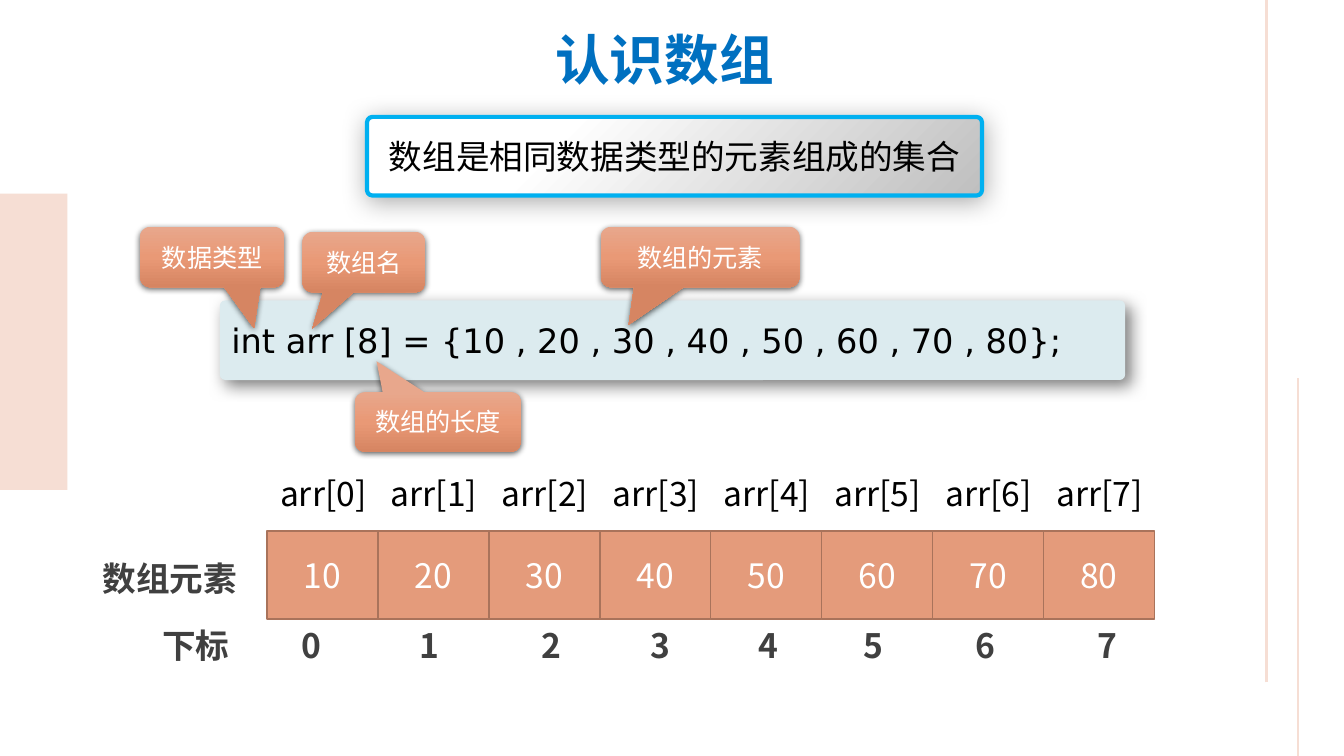
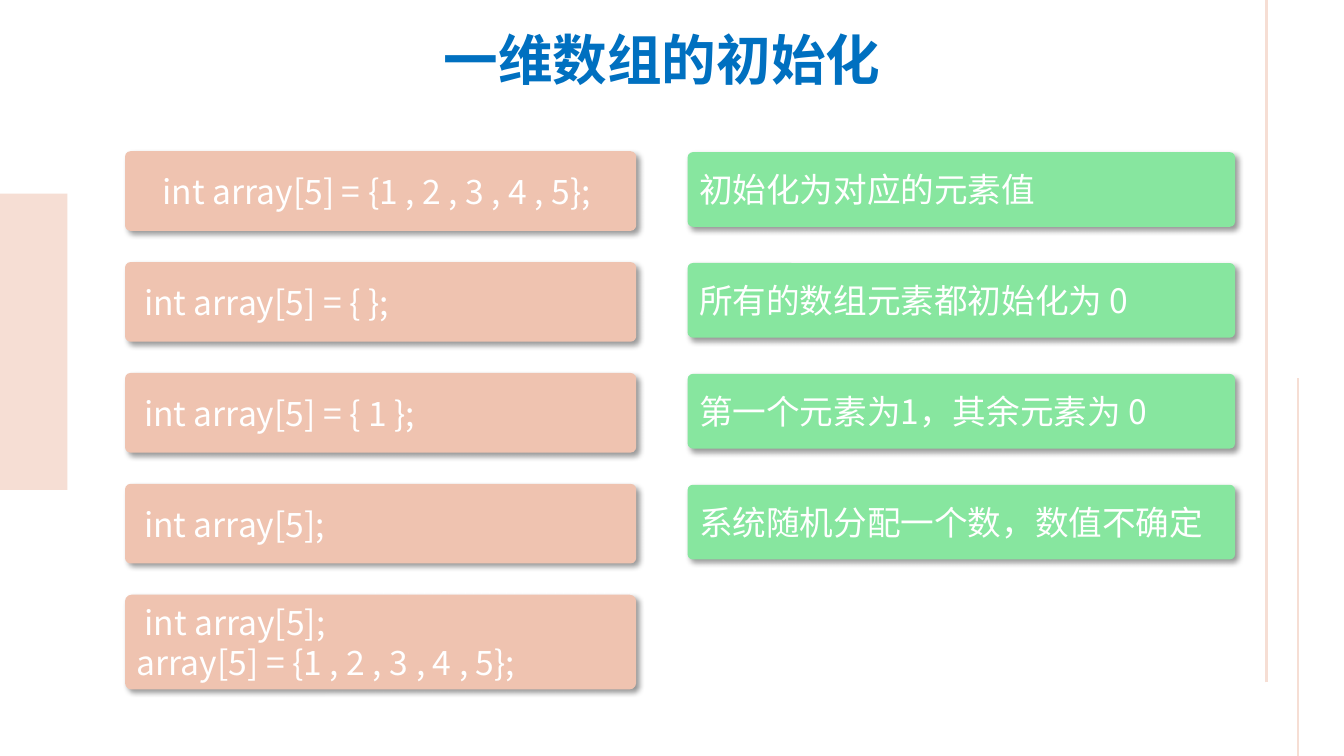
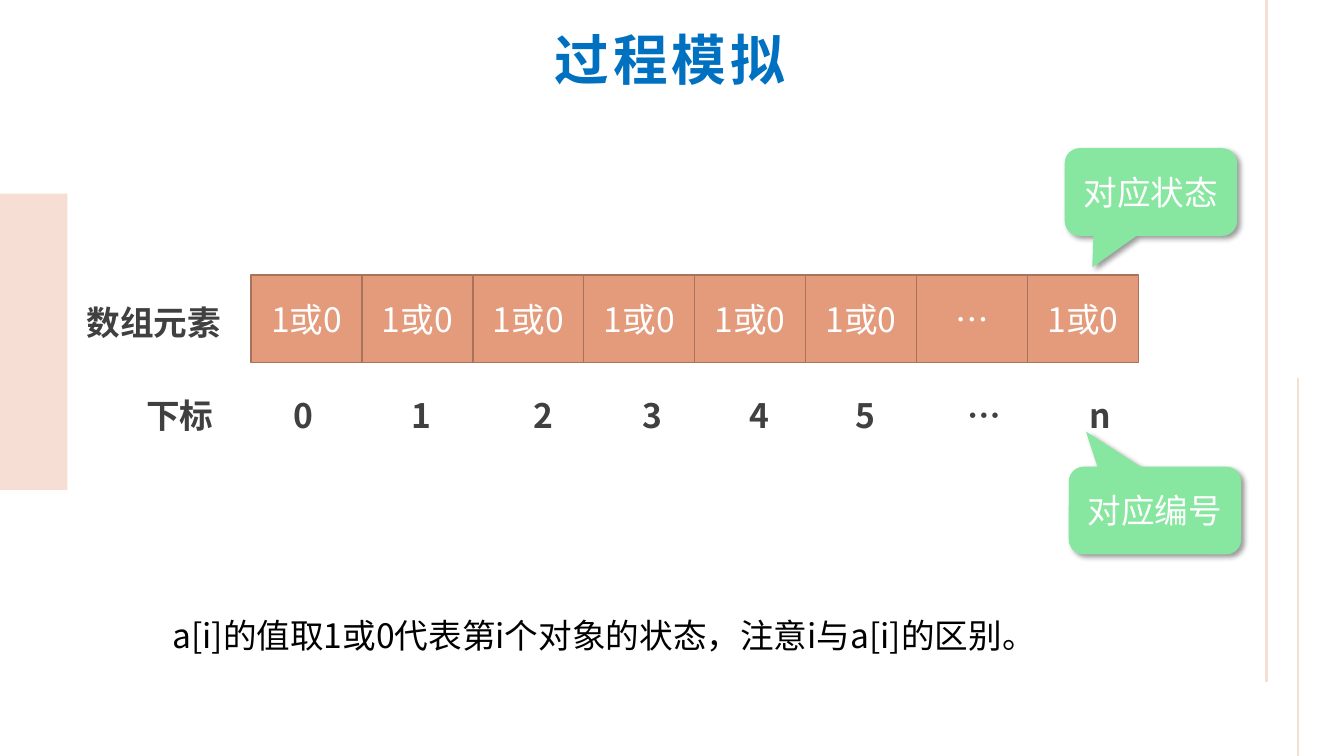
from dataclasses import dataclass
from typing import NamedTuple, Optional, Sequence

from lxml import etree
from pptx import Presentation
from pptx.dml.color import RGBColor
from pptx.enum import shapes, text
from pptx.oxml.ns import qn
from pptx.util import Inches, Pt

FONT = "Noto Sans CJK SC"
CODE_FONT = "DejaVu Sans"
WHITE = "FFFFFF"
BLACK = "000000"
TITLE_BLUE = "0070C0"
FRAME_BLUE = "00B0F0"
PALE_PINK = "F6DED4"
PALE_BLUE = "DCEBEF"
PINK = "EFC3B0"
GREEN = "87E69F"
CELL_ORANGE = "E49B7B"
CELL_BORDER = "A9735B"
LABEL_GREY = "404040"

ROUND_RECT = shapes.MSO_SHAPE.ROUNDED_RECTANGLE
CALLOUT = shapes.MSO_SHAPE.ROUNDED_RECTANGULAR_CALLOUT
RECTANGLE = shapes.MSO_SHAPE.RECTANGLE
LEFT, CENTER = text.PP_ALIGN.LEFT, text.PP_ALIGN.CENTER

BOX_CORNER = (0.07,)
CALLOUT_CORNER = 0.17
CELL_PITCH, CELL_HEIGHT = 1.1, 0.87
# Distance of each index label from the first one
INDEX_OFFSETS = (0, 1.17, 2.38, 3.46, 4.53, 5.58, 6.69, 7.9)


class Box(NamedTuple):
    left: float
    top: float
    width: float
    height: float


class Shadow(NamedTuple):
    opacity: int
    blur: float
    distance: float
    angle: int


class Gradient(NamedTuple):
    stops: Sequence[tuple[int, str]]
    angle: int


@dataclass(frozen=True)
class Callout:
    label: str
    box: Box
    tip: tuple[float, float]


SOFT_SHADOW = Shadow(40, 4, 3, 45)
CALLOUT_SHADOW = Shadow(63, 4.5, 1.5, 90)
ORANGE_GRADIENT = Gradient(((0, "E8A78C"), (50, "E99976"), (100, "D68562")), 90)
GREY_GRADIENT = Gradient(((30, WHITE), (100, "BFBFBF")), 45)


def color(value: str) -> RGBColor:
    return RGBColor.from_string(value)


def write(shape, content: str, *, size: float = 24, ink: str = WHITE, font: str = FONT,
          bold: bool = False, align=LEFT, anchor=text.MSO_ANCHOR.MIDDLE, wrap: bool = True,
          line_spacing: Optional[float] = None, tracking: float = 0) -> None:
    """Fill a shape with text, one paragraph for each line."""
    frame = shape.text_frame
    frame.word_wrap = wrap
    frame.vertical_anchor = anchor
    for number, line in enumerate(content.split("\n")):
        paragraph = frame.add_paragraph() if number else frame.paragraphs[0]
        paragraph.alignment = align
        if line_spacing:
            paragraph.line_spacing = line_spacing
        run = paragraph.add_run()
        run.text = line
        run.font.size = Pt(size)
        run.font.bold = bold
        run.font.name = font
        run.font.color.rgb = color(ink)
        properties = run.font._element
        etree.SubElement(properties, qn("a:ea"), typeface=font)
        if tracking:
            properties.set("spc", str(round(tracking * 100)))


def add_text(slide, box: Box, content: str, **text_format) -> None:
    shape = slide.shapes.add_textbox(*map(Inches, box))
    write(shape, content, **{"anchor": text.MSO_ANCHOR.TOP, **text_format})


def add_color(parent, value: str):
    return etree.SubElement(parent, qn("a:srgbClr"), val=value)


def apply_gradient(shape, gradient: Gradient) -> None:
    shape.fill.gradient()
    shape.fill.gradient_angle = 360 - gradient.angle
    stop_list = shape._element.spPr.find(qn("a:gradFill")).find(qn("a:gsLst"))
    for stop in list(stop_list):
        stop_list.remove(stop)
    for position, value in gradient.stops:
        add_color(etree.SubElement(stop_list, qn("a:gs"), pos=str(position * 1000)), value)


def apply_shadow(shape, shadow: Shadow) -> None:
    effects = shape._element.spPr.find(qn("a:effectLst"))
    outer = etree.SubElement(
        effects, qn("a:outerShdw"), blurRad=str(Pt(shadow.blur)), dist=str(Pt(shadow.distance)),
        dir=str(shadow.angle * 60000), algn="ctr", rotWithShape="0")
    etree.SubElement(add_color(outer, BLACK), qn("a:alpha"), val=str(shadow.opacity * 1000))


def add_shape(slide, kind, box: Box, fill: str | Gradient, *, border: Optional[str] = None,
              border_width: float = 1, shadow: Optional[Shadow] = None,
              adjustments: Sequence[float] = ()):
    shape = slide.shapes.add_shape(kind, *map(Inches, box))
    shape.shadow.inherit = False
    for number, value in enumerate(adjustments):
        shape.adjustments[number] = value
    if isinstance(fill, Gradient):
        apply_gradient(shape, fill)
    else:
        shape.fill.solid()
        shape.fill.fore_color.rgb = color(fill)
    if border:
        shape.line.color.rgb = color(border)
        shape.line.width = Pt(border_width)
    else:
        shape.line.fill.background()
    if shadow:
        apply_shadow(shape, shadow)
    return shape


def add_vertical_line(slide, x: float, bottom: float, top: float, width: float) -> None:
    line = slide.shapes.add_connector(
        shapes.MSO_CONNECTOR.STRAIGHT, Inches(x), Inches(bottom), Inches(x), Inches(top))
    line.line.color.rgb = color(PALE_PINK)
    line.line.width = Pt(width)
    etree.SubElement(line._element.spPr, qn("a:effectLst"))


def add_slide(presentation, title: str, left: float, width: float, **title_format):
    """Add a slide with the shared side band, lines and title."""
    slide = presentation.slides.add_slide(presentation.slide_layouts[6])
    add_shape(slide, RECTANGLE, Box(0, 1.92, 0.67, 2.94), PALE_PINK)
    add_vertical_line(slide, 12.56, 6.77, 0, 2.25)
    add_vertical_line(slide, 12.87, 7.5, 3.75, 1.5)
    add_text(slide, Box(left, 0.21, width, 0.76), title, size=39, ink=TITLE_BLUE,
             bold=True, wrap=False, **title_format)
    return slide


def add_callout(slide, callout: Callout, fill: str | Gradient, shadow: Shadow,
                size: float) -> None:
    shape = add_shape(slide, CALLOUT, callout.box, fill, shadow=shadow,
                      adjustments=(*callout.tip, CALLOUT_CORNER))
    write(shape, callout.label, size=size, align=CENTER)


def add_array(slide, left: float, top: float, values: Sequence[str], indexes: Sequence[str],
              index_left: float, index_top: float) -> None:
    """Draw the array cells with their row names and index labels."""
    for number, value in enumerate(values):
        box = Box(left + number * CELL_PITCH, top, CELL_PITCH, CELL_HEIGHT)
        write(add_shape(slide, RECTANGLE, box, CELL_ORANGE, border=CELL_BORDER),
              value, align=CENTER)
    labels = [(Box(left - 1.73, top + 0.22, 1.65, 0.5), "数组元素"),
              (Box(left - 1.14, index_top, 0.91, 0.5), "下标")]
    labels += [(Box(index_left + offset, index_top, 0.5, 0.5), index)
               for offset, index in zip(INDEX_OFFSETS, indexes)]
    for box, label in labels:
        add_text(slide, box, label, ink=LABEL_GREY, bold=True)


def build_array_intro(presentation) -> None:
    slide = add_slide(presentation, "认识数组", 5.41, 2.52)
    definition = add_shape(slide, ROUND_RECT, Box(3.64, 1.16, 6.1, 0.78), GREY_GRADIENT,
                           border=FRAME_BLUE, border_width=3,
                           shadow=Shadow(33, 17.8, 3, 87), adjustments=BOX_CORNER)
    write(definition, "数组是相同数据类型的元素组成的集合", ink=BLACK, align=CENTER)
    declaration = add_shape(slide, ROUND_RECT, Box(2.18, 2.98, 8.98, 0.79), PALE_BLUE,
                            shadow=Shadow(50, 12, 6, 45), adjustments=BOX_CORNER)
    write(declaration, "int arr [8] = {10 , 20 , 30 , 40 , 50 , 60 , 70 , 80};",
          ink=BLACK, font=CODE_FONT)
    for callout in (
        Callout("数据类型", Box(1.39, 2.25, 1.43, 0.6), (0.29, 1.18)),
        Callout("数组的长度", Box(3.52, 3.89, 1.65, 0.59), (-0.37, -1.02)),
        Callout("数组名", Box(3, 2.3, 1.22, 0.6), (-0.42, 1.1)),
        Callout("数组的元素", Box(5.96, 2.25, 1.97, 0.6), (-0.36, 1.12)),
    ):
        add_callout(slide, callout, ORANGE_GRADIENT, CALLOUT_SHADOW, 18)
    add_array(slide, 2.65, 5.27, [str(value) for value in range(10, 90, 10)],
              [str(index) for index in range(8)], 2.89, 6.15)
    for number in range(8):
        add_text(slide, Box(2.68 + number * CELL_PITCH, 4.64, 1.06, 0.5), f"arr[{number}]",
                 ink=BLACK, wrap=False)


def build_initialisation(presentation) -> None:
    slide = add_slide(presentation, "一维数组的初始化", 4.3, 4.8)
    statements = (
        "int array[5] = {1 , 2 , 3 , 4 , 5}; ",
        " int array[5] = { };",
        " int array[5] = { 1 };",
        " int array[5];",
        " int array[5];\narray[5] = {1 , 2 , 3 , 4 , 5};",
    )
    meanings = (
        "初始化为对应的元素值",
        "所有的数组元素都初始化为 0",
        "第一个元素为1，其余元素为 0",
        "系统随机分配一个数，数值不确定",
    )
    row_pitch = 1.1
    for row, statement in enumerate(statements):
        height = 0.94 if "\n" in statement else 0.79
        box = Box(1.24, 1.5 + row * row_pitch, 5.07, height)
        shape = add_shape(slide, ROUND_RECT, box, PINK, shadow=SOFT_SHADOW,
                          adjustments=BOX_CORNER)
        write(shape, statement, align=LEFT if row else CENTER)
    for row, meaning in enumerate(meanings):
        box = Box(6.82, 1.51 + row * row_pitch, 5.43, 0.74)
        shape = add_shape(slide, ROUND_RECT, box, GREEN, shadow=SOFT_SHADOW,
                          adjustments=BOX_CORNER)
        write(shape, meaning)


def build_simulation(presentation) -> None:
    slide = add_slide(presentation, "过程模拟", 5.38, 2.53, align=CENTER, tracking=3)
    add_array(slide, 2.49, 2.73, ["1或0"] * 6 + ["…", "1或0"],
              [*"012345", "…", "n"], 2.81, 3.87)
    for callout in (
        Callout("对应编号", Box(10.6, 4.63, 1.71, 0.87), (-0.4, -0.9)),
        Callout("对应状态", Box(10.56, 1.47, 1.71, 0.87), (-0.34, 0.86)),
    ):
        add_callout(slide, callout, GREEN, SOFT_SHADOW, 24)
    add_text(slide, Box(1.61, 5.85, 10.11, 0.71),
             "a[i]的值取1或0代表第i个对象的状态，注意i与a[i]的区别。", ink=BLACK, line_spacing=1.5)


def main() -> None:
    presentation = Presentation()
    presentation.slide_width = Inches(13.33)
    presentation.slide_height = Inches(7.5)
    build_array_intro(presentation)
    build_initialisation(presentation)
    build_simulation(presentation)
    presentation.save("out.pptx")


if __name__ == "__main__":
    main()
